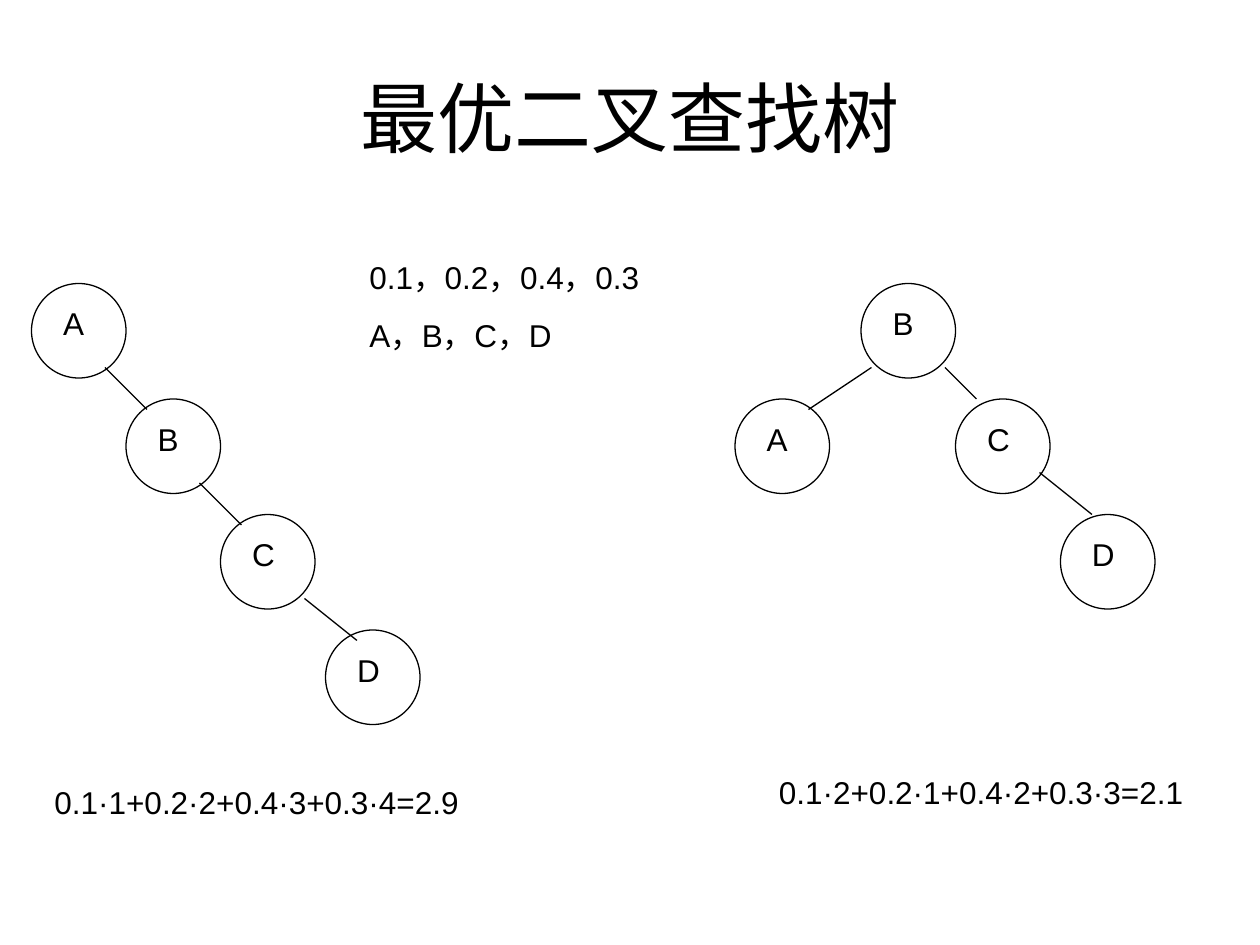
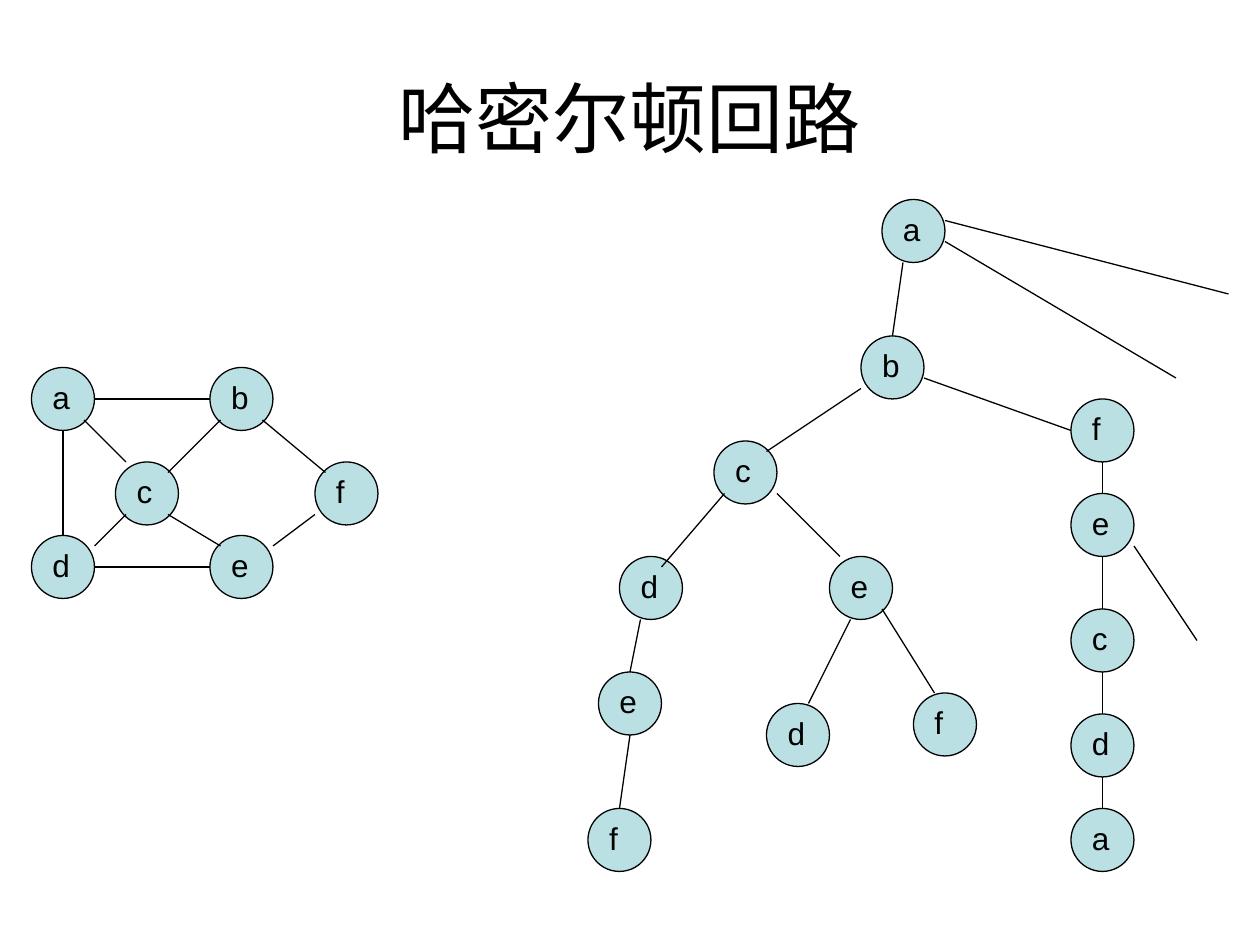
from dataclasses import dataclass
from itertools import pairwise
from typing import NamedTuple

import pptx
import pptx.dml.color
import pptx.enum.shapes
import pptx.enum.text
import pptx.oxml
import pptx.oxml.ns
import pptx.slide
import pptx.util
from lxml import etree


# Theme and shared measures
@dataclass(frozen=True)
class Theme:
    ink: str = "000000"
    node_fill: str = "BBE0E3"
    font: str = "Arial"
    title_size: int = 44
    body_size: int = 18
    line_width: float = 0.75
    para_gap: float = 11.2


THEME = Theme()
GRID_CM = 2.54 / 12  # every position lies on a grid of twelve steps per inch
TITLE_ONLY = 5
LABEL_WIDTH, LABEL_HEIGHT = 2, 3.6


class Node(NamedTuple):
    name: str
    x: float
    y: float


class Edge(NamedTuple):
    x1: float
    y1: float
    x2: float
    y2: float


class Note(NamedTuple):
    lines: tuple[str, ...]
    x: float
    y: float
    width: float
    height: float


class NodeStyle(NamedTuple):
    size: float
    label_dx: float
    label_dy: float
    fill: str | None


OPEN_NODE = NodeStyle(9, 3, 2, None)
FILLED_NODE = NodeStyle(6, 2, 1, THEME.node_fill)


# Drawing helpers
def grid(steps: float) -> pptx.util.Length:
    return pptx.util.Cm(steps * GRID_CM)


def rgb(value: str) -> pptx.dml.color.RGBColor:
    return pptx.dml.color.RGBColor.from_string(value)


def format_runs(tf, size: int) -> None:
    for p in tf.paragraphs:
        for r in p.runs:
            r.font.name = THEME.font
            r.font.size = pptx.util.Pt(size)
            r.font.color.rgb = rgb(THEME.ink)


def set_line(line) -> None:
    line.color.rgb = rgb(THEME.ink)
    line.width = pptx.util.Pt(THEME.line_width)


def add_text(shapes, note: Note, inset: bool = True) -> None:
    box = shapes.add_textbox(*map(grid, (note.x, note.y, note.width, note.height)))
    tf = box.text_frame
    tf.word_wrap = True
    tf.auto_size = pptx.enum.text.MSO_AUTO_SIZE.SHAPE_TO_FIT_TEXT
    if not inset:
        tf.margin_left = tf.margin_right = tf.margin_top = tf.margin_bottom = 0
    tf.text = "\n".join(note.lines)
    for p in tf.paragraphs[1:]:
        p.space_before = pptx.util.Pt(THEME.para_gap)
    format_runs(tf, THEME.body_size)


def add_node(slide: pptx.slide.Slide, node: Node, style: NodeStyle) -> None:
    group = slide.shapes.add_group_shape()
    sp = group.shapes.add_shape(
        pptx.enum.shapes.MSO_SHAPE.OVAL,
        *map(grid, (node.x, node.y, style.size, style.size)),
    )
    sp.shadow.inherit = False
    set_line(sp.line)
    if style.fill:
        sp.fill.solid()
        sp.fill.fore_color.rgb = rgb(style.fill)
    else:
        sp.fill.background()
    label = Note((node.name,), node.x + style.label_dx, node.y + style.label_dy,
                 LABEL_WIDTH, LABEL_HEIGHT)
    add_text(group.shapes, label, inset=False)


def add_edge(slide: pptx.slide.Slide, edge: Edge) -> None:
    line = slide.shapes.add_connector(
        pptx.enum.shapes.MSO_CONNECTOR.STRAIGHT, *map(grid, edge))
    set_line(line.line)
    etree.SubElement(line._element.spPr, pptx.oxml.ns.qn("a:effectLst"))


def add_diagram(slide: pptx.slide.Slide, nodes: list[Node], edges: list[Edge],
                style: NodeStyle) -> None:
    for node in nodes:
        add_node(slide, node, style)
    for edge in edges:
        add_edge(slide, edge)


def chain_edges(chain: list[Node], size: float) -> list[Edge]:
    """Vertical links from the foot of each node to the head of the next."""
    return [Edge(a.x + size / 2, a.y + size, b.x + size / 2, b.y)
            for a, b in pairwise(chain)]


def add_titled_slide(prs, title: str) -> pptx.slide.Slide:
    slide = prs.slides.add_slide(prs.slide_layouts[TITLE_ONLY])
    sp = slide.shapes.title
    sp.left, sp.top, sp.width, sp.height = map(grid, (6, 3.6, 108, 15))
    tf = sp.text_frame
    tf.text = title
    tf.vertical_anchor = pptx.enum.text.MSO_ANCHOR.MIDDLE
    tf.paragraphs[0].alignment = pptx.enum.text.PP_ALIGN.CENTER
    format_runs(tf, THEME.title_size)
    return slide


# Slide 1: two search trees and their costs
CHAIN_TREE = [Node("A", 3, 27), Node("B", 12, 38), Node("C", 21, 49), Node("D", 31, 60)]
CHAIN_TREE_EDGES = [Edge(10, 35, 14, 39), Edge(19, 46, 23, 50), Edge(29, 57, 34, 61)]

BEST_TREE = [Node("B", 82, 27), Node("A", 70, 38), Node("C", 91, 38), Node("D", 101, 49)]
BEST_TREE_EDGES = [Edge(90, 35, 93, 38), Edge(99, 45, 104, 49), Edge(77, 39, 83, 35)]

SEARCH_NOTES = [
    Note(("0.1·1+0.2·2+0.4·3+0.3·4=2.9",), 4, 74, 43, 4.8),
    Note(("0.1·2+0.2·1+0.4·2+0.3·3=2.1",), 73, 73, 42, 4.8),
    Note(("0.1，0.2，0.4，0.3", "A，B，C，D"), 34, 24, 33, 10.3),
]

# Slide 2: a graph and its search tree
GRAPH = [Node("a", 3, 35), Node("b", 20, 35), Node("c", 11, 44),
         Node("f", 30, 44), Node("d", 3, 51), Node("e", 20, 51)]
GRAPH_EDGES = [
    Edge(9, 38, 20, 38), Edge(6, 41, 6, 51), Edge(9, 52, 12, 49),
    Edge(16, 45, 21, 40), Edge(16, 49, 21, 52), Edge(25, 40, 31, 45),
    Edge(26, 52, 30, 49), Edge(9, 54, 20, 54), Edge(8, 40, 12, 44),
]

CIRCUIT_TAIL = [Node(name, 102, y)
                for name, y in zip("fecda", (38, 47, 58, 68, 77))]
STATE_TREE = [
    Node("a", 84, 19), Node("b", 82, 32), Node("c", 68, 42),
    Node("d", 59, 53), Node("e", 57, 64), Node("f", 56, 77),
    Node("e", 79, 53), Node("d", 73, 67), Node("f", 87, 66),
] + CIRCUIT_TAIL
STATE_TREE_EDGES = [
    Edge(86, 25, 85, 32), Edge(82, 37, 73, 43), Edge(88, 36, 102, 41),
    Edge(69, 47, 63, 54), Edge(61, 59, 60, 64), Edge(60, 70, 59, 77),
    Edge(74, 47, 80, 53), Edge(81, 59, 77, 67), Edge(84, 58, 89, 66),
] + chain_edges(CIRCUIT_TAIL, FILLED_NODE.size)
OPEN_BRANCHES = [Edge(90, 23, 112, 36), Edge(90, 21, 117, 28), Edge(108, 52, 114, 61)]


def main() -> None:
    prs = pptx.Presentation()
    prs.slide_width, prs.slide_height = pptx.util.Cm(25.4), pptx.util.Cm(19.05)

    slide = add_titled_slide(prs, "最优二叉查找树")
    add_diagram(slide, CHAIN_TREE, CHAIN_TREE_EDGES, OPEN_NODE)
    add_diagram(slide, BEST_TREE, BEST_TREE_EDGES, OPEN_NODE)
    for note in SEARCH_NOTES:
        add_text(slide.shapes, note)

    slide = add_titled_slide(prs, "哈密尔顿回路")
    add_diagram(slide, GRAPH, GRAPH_EDGES, FILLED_NODE)
    add_diagram(slide, STATE_TREE, STATE_TREE_EDGES + OPEN_BRANCHES, FILLED_NODE)

    prs.save("out.pptx")


if __name__ == "__main__":
    main()
